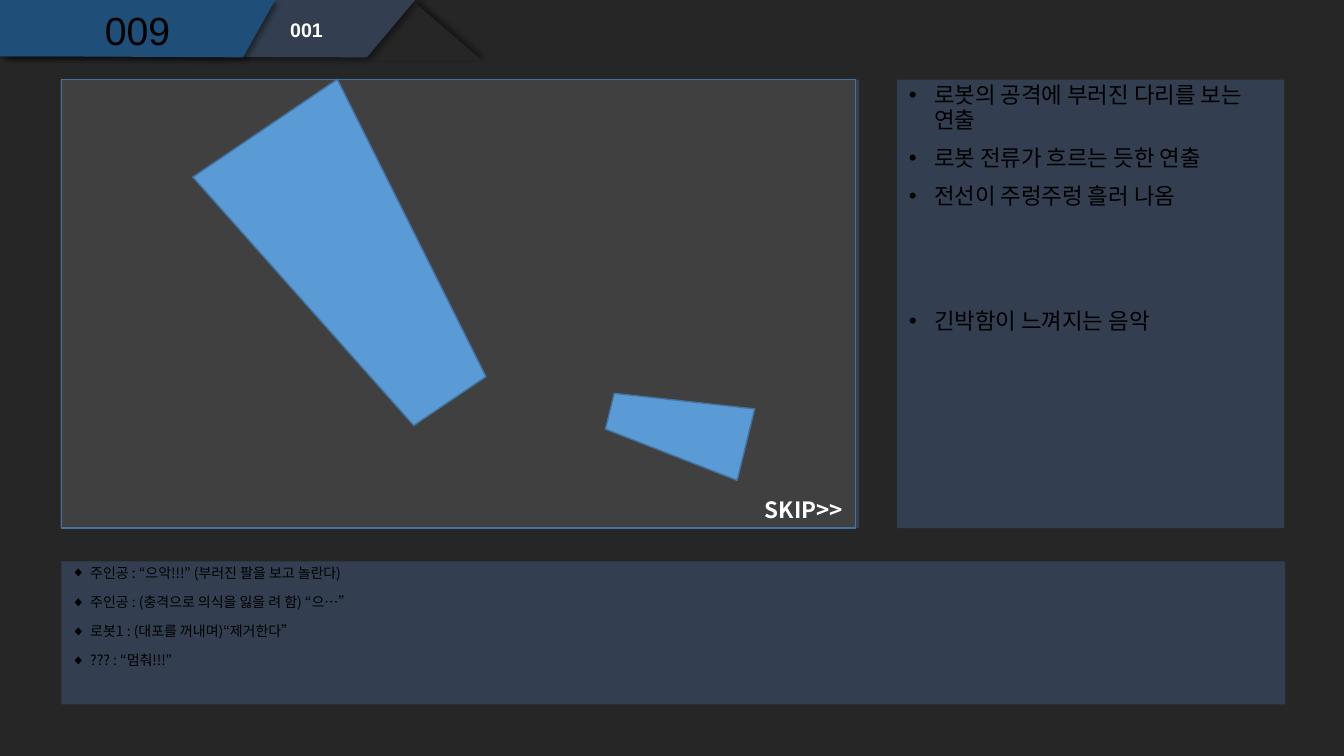
import pptx
import pptx.dml.color
import pptx.enum.shapes
import pptx.enum.text
import pptx.oxml
import pptx.oxml.ns
import pptx.util
from lxml import etree

Pt = pptx.util.Pt
RGBColor = pptx.dml.color.RGBColor
MSO_SHAPE = pptx.enum.shapes.MSO_SHAPE
PP_ALIGN = pptx.enum.text.PP_ALIGN
MSO_ANCHOR = pptx.enum.text.MSO_ANCHOR
MSO_AUTO_SIZE = pptx.enum.text.MSO_AUTO_SIZE
qn = pptx.oxml.ns.qn

BACKGROUND = RGBColor(0x26, 0x26, 0x26)
PANEL = RGBColor(0x33, 0x3F, 0x50)
TAB_BLUE = RGBColor(0x1F, 0x4E, 0x79)
SCREEN = RGBColor(0x40, 0x40, 0x40)
OUTLINE = RGBColor(0x43, 0x73, 0x9E)
LIMB = RGBColor(0x5B, 0x9B, 0xD5)
BLACK = RGBColor(0, 0, 0)
WHITE = RGBColor(0xFF, 0xFF, 0xFF)
KOREAN_FONT = "Noto Sans CJK KR"


def format_shape(shape, fill, line=None, shadow_angle=None):
    shape.fill.solid()
    shape.fill.fore_color.rgb = fill
    if line is None:
        shape.line.fill.background()
    else:
        shape.line.color.rgb = line
        shape.line.width = Pt(1)
    shape.shadow.inherit = False
    if shadow_angle is not None:
        effects = shape._element.spPr.find(qn("a:effectLst"))
        shadow = etree.SubElement(
            effects, qn("a:outerShdw"), blurRad=str(Pt(4)), dist=str(Pt(3)),
            dir=str(shadow_angle * 60000), algn="tl", rotWithShape="0")
        color = etree.SubElement(shadow, qn("a:srgbClr"), val=str(BLACK))
        etree.SubElement(color, qn("a:alpha"), val="40000")


def add_preset(slide, preset, box, fill, rotation=0, **look):
    shape = slide.shapes.add_shape(preset, *(Pt(length) for length in box))
    shape.rotation = rotation
    format_shape(shape, fill, **look)


def add_tab(slide, box, top_right, bottom_right, bend, fill):
    """Draw a slanted header tab; bend is where its lower edge drops slightly."""
    left, top, _, height = box
    outline = [(left, top), (left + top_right, top),
               (left + bottom_right, top + height),
               (left + bend, top + height - 0.7), (left, top + height - 0.7)]
    points = [(Pt(x), Pt(y)) for x, y in outline]
    builder = slide.shapes.build_freeform(*points[0])
    builder.add_line_segments(points[1:], close=True)
    format_shape(builder.convert_to_shape(), fill, shadow_angle=45)


def add_text(slide, box, lines, size, font=KOREAN_FONT, color=BLACK, bold=False,
             align=PP_ALIGN.LEFT, anchor=MSO_ANCHOR.TOP, wrap=True, grow=False,
             spacing=0.9, bullet=None, indent=0):
    text_box = slide.shapes.add_textbox(*(Pt(length) for length in box))
    frame = text_box.text_frame
    frame.word_wrap = wrap
    frame.vertical_anchor = anchor
    frame.auto_size = MSO_AUTO_SIZE.SHAPE_TO_FIT_TEXT if grow else MSO_AUTO_SIZE.NONE
    for index, line in enumerate(lines):
        paragraph = frame.paragraphs[0] if index == 0 else frame.add_paragraph()
        if bullet:
            properties = paragraph._p.get_or_add_pPr()
            properties.set("marL", str(Pt(indent)))
            properties.set("indent", str(-Pt(indent)))
            etree.SubElement(properties, qn("a:buFont"), typeface="Arial")
            etree.SubElement(properties, qn("a:buChar"), char=bullet)
        paragraph.alignment = align
        paragraph.line_spacing = spacing
        if index:
            paragraph.space_before = Pt(10)
        run = paragraph.add_run()
        run.text = line
        run.font.size = Pt(size)
        run.font.bold = bold
        run.font.color.rgb = color
        run.font.name = font
        etree.SubElement(run._r.get_or_add_rPr(), qn("a:ea"), typeface=font)


def add_header(slide, box, scene, cut):
    left, top, _, height = box
    add_preset(slide, MSO_SHAPE.ISOSCELES_TRIANGLE,
               (left + 249.1, top + 2.2, 95, height), BACKGROUND, shadow_angle=315)
    add_tab(slide, (left + 3.6, top, 293, height), 293, 258.5, 61.2, PANEL)
    add_tab(slide, (left, top, 196.6, height), 196.6, 173.5, 41, TAB_BLUE)
    add_text(slide, (left + 200.2, top + 10.8, 72, 23), [cut], 14,
             font="Arial", color=WHITE, bold=True)
    add_text(slide, (left + 43.9, top + 4.3, 108.7, 38.2), [scene], 28,
             font="Arial", align=PP_ALIGN.CENTER, anchor=MSO_ANCHOR.MIDDLE)


def add_storyboard(slide, box):
    left, top, width, height = box
    add_preset(slide, MSO_SHAPE.RECTANGLE, (left - 0.7, top, width + 3, height), PANEL)
    add_preset(slide, MSO_SHAPE.RECTANGLE, box, SCREEN, line=OUTLINE)
    add_text(slide, (left + width - 72, top + height - 26.6, 72, 26.6), ["SKIP>>"], 16,
             color=WHITE, bold=True, wrap=False, grow=True, spacing=1.0)
    limbs = [((149.1, 14.4, 124.6, 235.4), 145.9), ((414, 198.7, 52.6, 100.1), 283.8)]
    for (x, y, limb_width, limb_height), rotation in limbs:
        add_preset(slide, MSO_SHAPE.TRAPEZOID, (left + x, top + y, limb_width, limb_height),
                   LIMB, rotation=rotation, line=OUTLINE)


def add_directions(slide, box, staging, sound):
    left, top, width, height = box
    add_preset(slide, MSO_SHAPE.RECTANGLE, box, PANEL)
    half = height / 2
    for offset, lines in ((0, staging), (half + 1, sound)):
        add_text(slide, (left + 1.4, top + offset, width, half - 1), lines, 16,
                 bullet="•", indent=18)


def add_dialogue(slide, box, lines):
    left, top, width, height = box
    add_preset(slide, MSO_SHAPE.RECTANGLE, box, PANEL)
    add_text(slide, (left, top, width / 2, height), lines, 10, bullet="◆", indent=13.5)


def main():
    presentation = pptx.Presentation()
    presentation.slide_width, presentation.slide_height = Pt(960), Pt(540)
    slide = presentation.slides.add_slide(presentation.slide_layouts[6])
    slide.background.fill.solid()
    slide.background.fill.fore_color.rgb = BACKGROUND

    add_header(slide, (0, 0, 345, 41), "009", "001")
    add_storyboard(slide, (43.9, 56.9, 567.4, 320.4))
    add_directions(slide, (640.8, 56.9, 276.5, 320.4),
                   ["로봇의 공격에 부러진 다리를 보는 연출",
                    "로봇 전류가 흐르는 듯한 연출",
                    "전선이 주렁주렁 흘러 나옴"],
                   ["긴박함이 느껴지는 음악"])
    add_dialogue(slide, (43.9, 401, 874.1, 102.2),
                 ["주인공 : “으악!!!” (부러진 팔을 보고 놀란다)",
                  "주인공 : (충격으로 의식을 잃을 려 함) “으…”",
                  "로봇1 : (대포를 꺼내며)“제거한다”",
                  "??? : “멈춰!!!”"])
    presentation.save("out.pptx")


if __name__ == "__main__":
    main()
